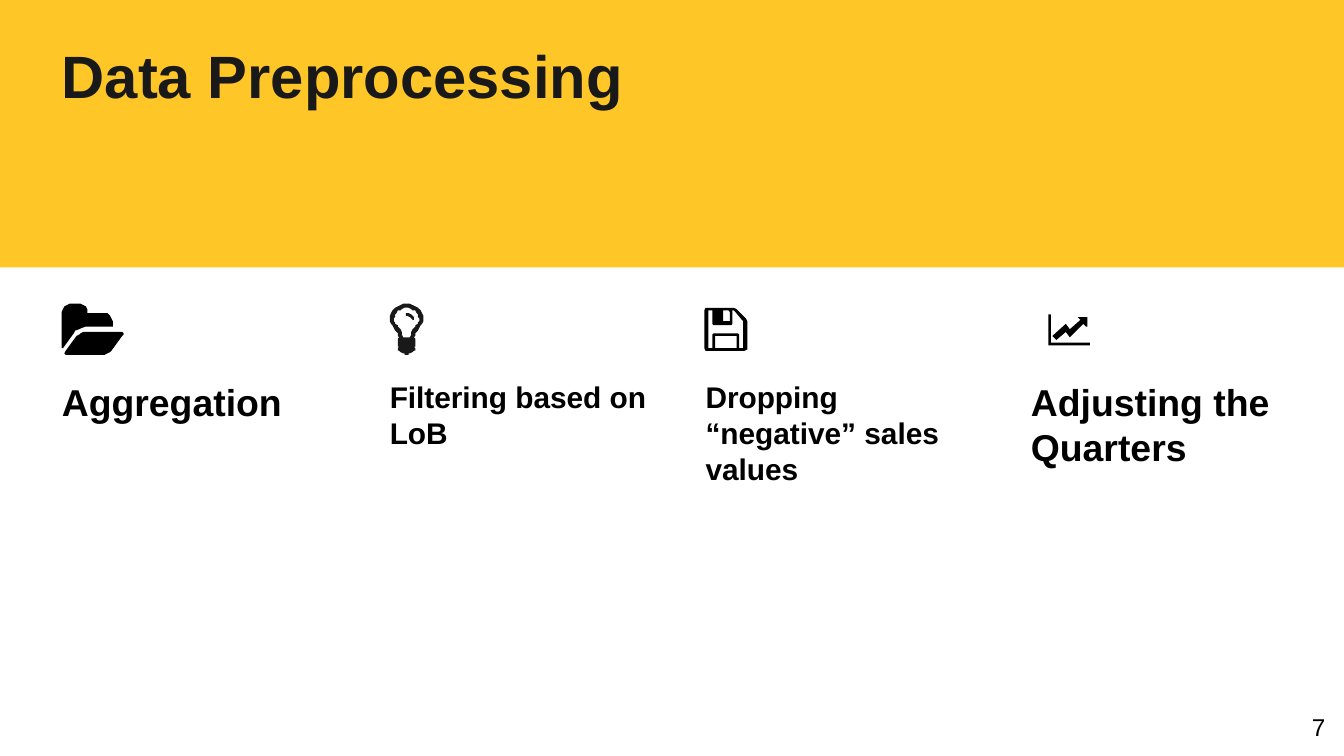
from dataclasses import dataclass

from pptx import Presentation
from pptx.dml.color import RGBColor
from pptx.enum import shapes, text
from pptx.util import Pt

COLORS = {"band": "FFC627", "ink": "191919", "black": "000000"}
FONT = "Arial"
ICON_UNIT = Pt(0.72)

Contour = list[tuple[int, int]]


@dataclass
class Icon:
    left: float
    top: float
    color: str
    contours: list[Contour]


@dataclass
class Step:
    left: float
    label: str
    size: int
    icon: Icon


@dataclass
class Label:
    words: str
    left: float
    top: float
    width: float
    height: float
    size: int
    color: str = "black"
    bold: bool = True
    inset: float = 0
    align: text.PP_ALIGN = text.PP_ALIGN.LEFT
    anchor: text.MSO_ANCHOR = text.MSO_ANCHOR.TOP


def rgb(name: str) -> RGBColor:
    return RGBColor.from_string(COLORS[name])


def paint(sp, color: str) -> None:
    sp.fill.solid()
    sp.fill.fore_color.rgb = rgb(color)
    sp.line.fill.background()
    sp.shadow.inherit = False


def mirrored(half: Contour, width: int) -> Contour:
    return half + [(width - x, y) for x, y in reversed(half)]


def draw_icon(s, icon: Icon) -> None:
    first, *rest = icon.contours
    builder = s.shapes.build_freeform(*first[0], scale=ICON_UNIT)
    builder.add_line_segments(first[1:], close=True)
    for contour in rest:
        builder.move_to(*contour[0])
        builder.add_line_segments(contour[1:], close=True)
    paint(builder.convert_to_shape(Pt(icon.left), Pt(icon.top)), icon.color)


def draw_label(s, label: Label):
    box = (label.left, label.top, label.width, label.height)
    tf = s.shapes.add_textbox(*map(Pt, box)).text_frame
    tf.word_wrap = True
    tf.vertical_anchor = label.anchor
    tf.margin_left = tf.margin_right = Pt(label.inset)
    tf.margin_top = tf.margin_bottom = Pt(label.inset)
    p = tf.paragraphs[0]
    p.text = label.words
    p.alignment = label.align
    p.font.name = FONT
    p.font.size = Pt(label.size)
    p.font.bold = label.bold
    p.font.color.rgb = rgb(label.color)
    return p


FOLDER = [
    [(6, 0), (4, 1), (2, 2), (1, 4), (0, 6), (0, 33), (1, 33), (9, 22),
     (10, 20), (13, 19), (15, 18), (18, 17), (38, 17), (38, 13), (37, 11),
     (36, 9), (34, 7), (32, 7), (19, 7), (19, 4), (18, 2), (16, 1), (14, 0)],
    [(16, 21), (14, 22), (13, 23), (11, 24), (3, 35), (2, 37), (3, 38),
     (32, 38), (34, 37), (36, 36), (37, 35), (45, 24), (46, 23), (46, 22),
     (45, 21)],
]
BULB = [
    [(13, 7), (12, 7), (12, 9), (13, 9), (15, 10), (16, 11), (17, 12),
     (18, 12), (18, 10), (17, 9), (16, 8), (14, 7)],
    mirrored([(11, 3), (9, 4), (8, 5), (6, 5), (5, 7), (4, 8), (4, 10),
              (3, 11), (3, 13), (4, 14), (4, 15), (6, 16), (6, 17), (8, 19),
              (9, 21), (9, 23), (10, 25)], 25),
    mirrored([(10, 0), (8, 1), (6, 2), (4, 3), (2, 5), (1, 7), (0, 9),
              (0, 13), (1, 15), (2, 16), (3, 18), (4, 20), (6, 22), (6, 24),
              (7, 25), (6, 26), (6, 30), (6, 32), (7, 32), (6, 33), (6, 35),
              (7, 35), (8, 36), (10, 37), (11, 37), (11, 38)], 25),
]
DISK = [
    [(18, 2), (19, 3), (19, 10), (14, 10), (14, 2)],
    [(24, 21), (24, 30), (8, 30), (8, 21)],
    [(21, 2), (22, 2), (23, 3), (28, 9), (29, 10), (29, 30), (26, 30),
     (26, 20), (25, 19), (7, 19), (6, 20), (6, 30), (3, 30), (3, 2), (6, 2),
     (6, 12), (7, 13), (20, 13), (21, 12)],
    [(2, 0), (1, 0), (0, 2), (0, 30), (1, 32), (30, 32), (32, 31), (32, 10),
     (31, 8), (24, 1), (22, 0)],
]
CHART = [
    [(22, 2), (24, 4), (16, 11), (13, 7), (3, 16), (6, 19), (13, 13),
     (16, 17), (26, 7), (28, 9), (29, 9), (29, 2)],
    [(0, 0), (0, 23), (31, 23), (31, 21), (2, 21), (2, 0)],
]

STEPS = [
    Step(33.12, "Aggregation", 20, Icon(33.12, 162.72, "black", FOLDER)),
    Step(208.8, "Filtering based on LoB", 16,
         Icon(208.8, 162.72, "ink", BULB)),
    Step(378, "Dropping “negative” sales values", 16,
         Icon(377.28, 164.88, "black", DISK)),
    Step(552.24, "Adjusting the Quarters", 20,
         Icon(561.6, 168.48, "black", CHART)),
]


def main() -> None:
    prs = Presentation()
    prs.slide_width, prs.slide_height = Pt(720), Pt(405)
    s = prs.slides.add_slide(prs.slide_layouts[6])

    band = s.shapes.add_shape(shapes.MSO_SHAPE.RECTANGLE, 0, 0,
                              prs.slide_width, Pt(143.28))
    paint(band, "band")

    title = draw_label(s, Label("Data Preprocessing", 33.12, 25.2, 659.52,
                                34.56, 32, "ink"))
    title.line_spacing = 0.9
    title.space_after = Pt(8)

    for step in STEPS:
        draw_icon(s, step.icon)
        draw_label(s, Label(step.label, step.left, 203.04, 140.4, 177.12,
                            step.size))

    draw_label(s, Label("7", 673.92, 373.68, 43.2, 30.96, 13, bold=False,
                        inset=7.2, align=text.PP_ALIGN.RIGHT,
                        anchor=text.MSO_ANCHOR.MIDDLE))
    prs.save("out.pptx")


if __name__ == "__main__":
    main()
